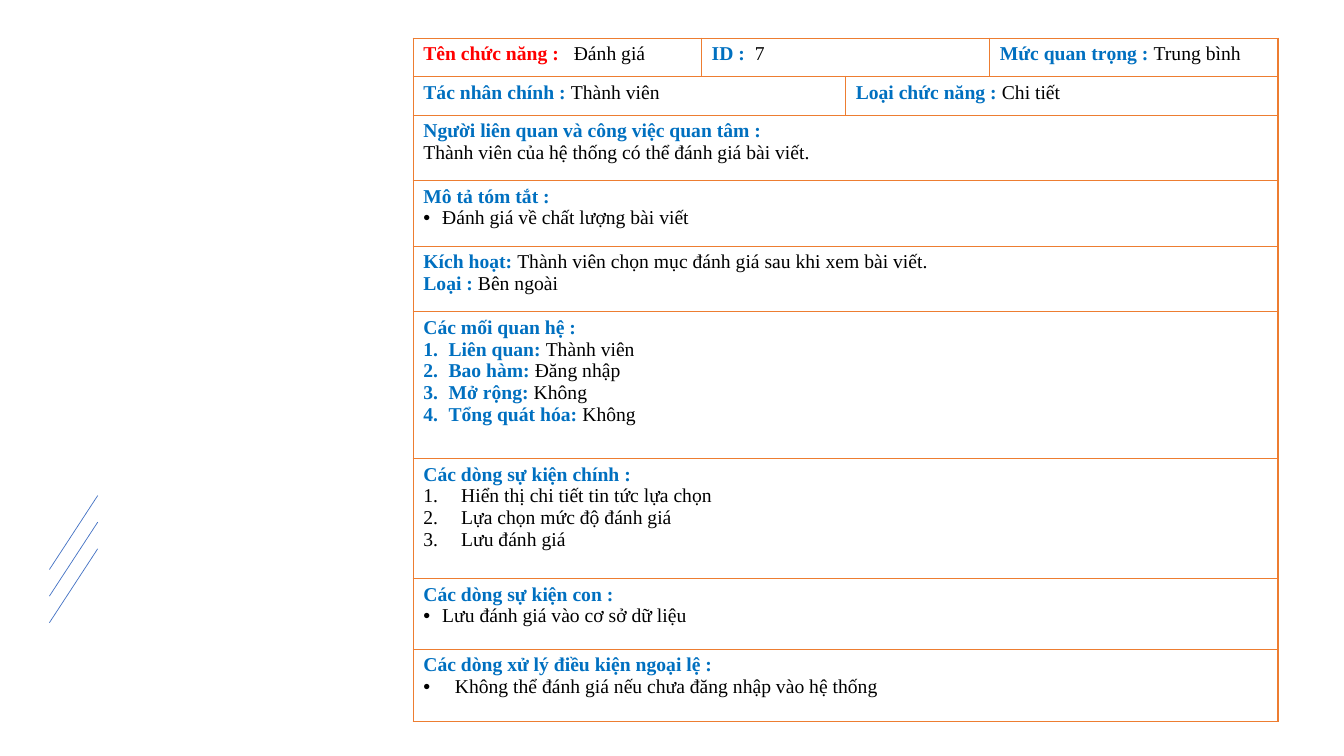
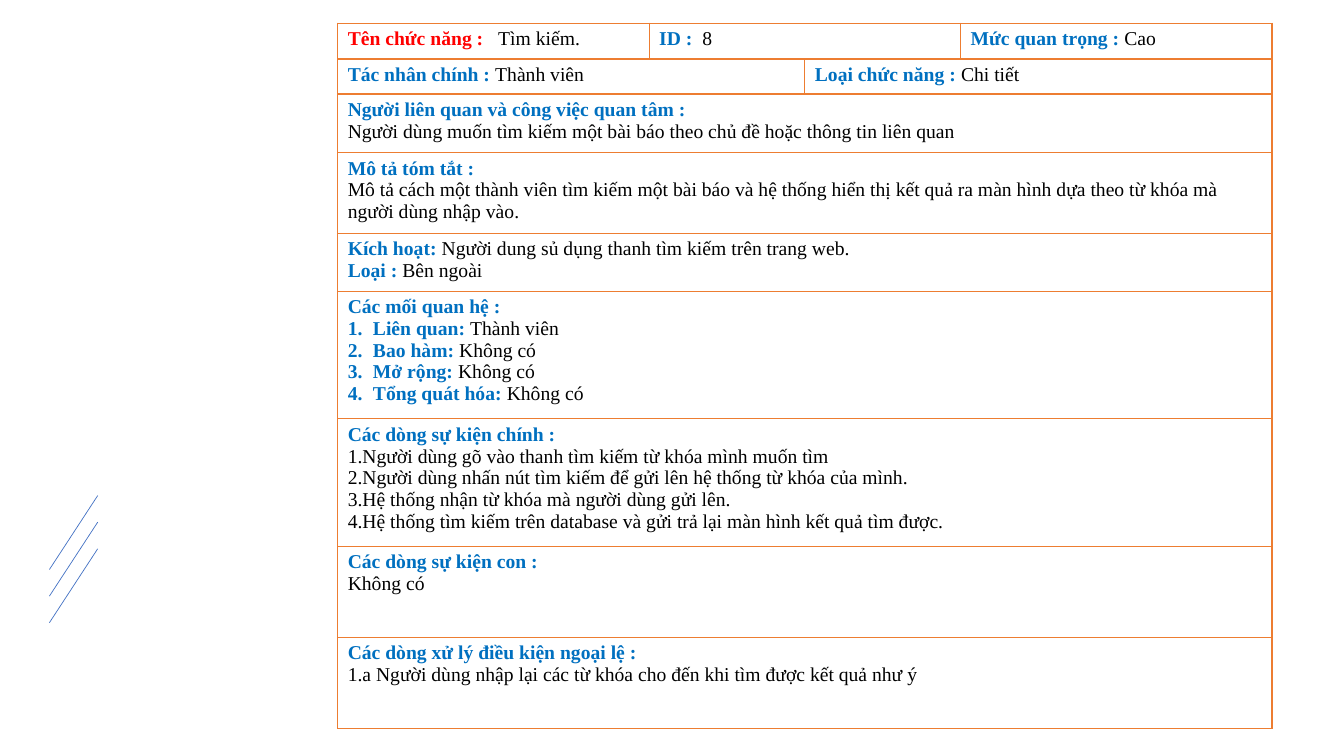
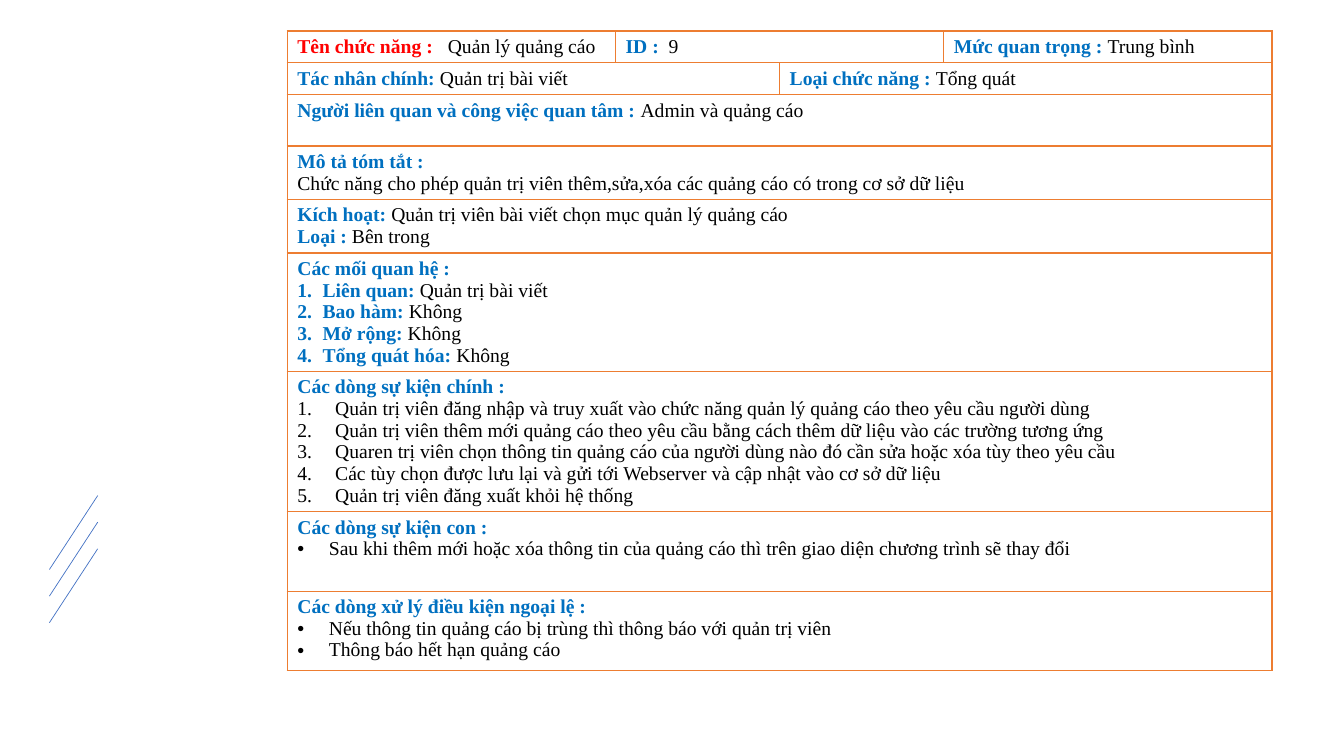
from dataclasses import dataclass

from lxml.etree import SubElement
from pptx import Presentation
from pptx.dml.color import RGBColor
from pptx.enum.shapes import MSO_CONNECTOR
from pptx.oxml.ns import qn
from pptx.util import Pt

# Shared style
FONT = "Times New Roman"
TEXT_SIZE = 14
RED, BLUE, BLACK = "FF0000", "0070C0", "000000"
BORDER, ACCENT = "ED7D31", "4472C4"
COLUMN_SHARES = (2, 1, 1, 2)

# Headings that every function sheet repeats
STAKEHOLDERS = "Người liên quan và công việc quan tâm :"
SUMMARY = "Mô tả tóm tắt :"
RELATIONS = "Các mối quan hệ :"
MAIN_FLOW = "Các dòng sự kiện chính :"
SUB_FLOW = "Các dòng sự kiện con :"
EXCEPTIONS = "Các dòng xử lý điều kiện ngoại lệ :"
RELATION_KINDS = ("Liên quan: ", "Bao hàm: ", "Mở rộng: ", "Tổng quát hóa: ")


@dataclass
class Line:
    label: str = ""
    value: str = ""
    marker: str = ""
    indent: float = 0
    tab: float = 0
    label_color: str = BLUE


@dataclass
class Sheet:
    left: float
    top: float
    width: float
    row_heights: tuple
    name: str
    number: str
    priority: str
    actor: Line
    kind: str
    sections: list


def rgb(hex_text):
    return RGBColor.from_string(hex_text)


# Kinds of content line
def plain(*texts):
    return [Line(value=text) for text in texts]


def bullets(indent, *texts):
    return [Line(value=text, marker="•", indent=indent) for text in texts]


def steps(*texts):
    return [Line(value=text, marker="1.", indent=27) for text in texts]


def section(heading, lines):
    return [Line(heading), *lines]


def trigger(cause, origin):
    return [Line("Kích hoạt: ", cause), Line("Loại : ", origin)]


def relations(*values):
    return section(RELATIONS, [Line(kind, value, "1.", 18)
                               for kind, value in zip(RELATION_KINDS, values)])


# Drawing
def format_paragraph(para, line):
    properties = para._p.get_or_add_pPr()
    if line.marker:
        properties.set("marL", str(Pt(line.indent)))
        properties.set("indent", str(-Pt(line.indent)))
    if line.marker == "•":
        SubElement(properties, qn("a:buFont"), typeface="Arial")
        SubElement(properties, qn("a:buChar"), char="•")
    elif line.marker:
        SubElement(properties, qn("a:buFont"), typeface="+mj-lt")
        SubElement(properties, qn("a:buAutoNum"), type="arabicPeriod")
    if line.tab:
        tabs = SubElement(properties, qn("a:tabLst"))
        SubElement(tabs, qn("a:tab"), pos=str(Pt(line.tab)), algn="l")
    para.font.name = FONT
    para.font.size = Pt(TEXT_SIZE)


def add_span(para, text, color, bold):
    span = para.add_run()
    span.text = text
    span.font.color.rgb = rgb(color)
    span.font.bold = bold


def fill_cell(cell, lines):
    frame = cell.text_frame
    for index, line in enumerate(lines):
        para = frame.add_paragraph() if index else frame.paragraphs[0]
        format_paragraph(para, line)
        if line.label:
            add_span(para, line.label, line.label_color, True)
        if line.value:
            add_span(para, "\t" + line.value if line.tab else line.value, BLACK, False)


def outline_cell(cell):
    properties = cell._tc.get_or_add_tcPr()
    for side in ("lnL", "lnR", "lnT", "lnB"):
        edge = SubElement(properties, qn(f"a:{side}"), w=str(Pt(1)))
        fill = SubElement(edge, qn("a:solidFill"))
        SubElement(fill, qn("a:srgbClr"), val=BORDER)
    cell.fill.background()


def add_accent_lines(page):
    for index in range(3):
        shift = 19 * index
        connector = page.shapes.add_connector(
            MSO_CONNECTOR.STRAIGHT,
            Pt(35.3), Pt(406.8 + shift), Pt(69.8), Pt(354 + shift))
        connector.line.color.rgb = rgb(ACCENT)
        connector.line.width = Pt(0.5)
        SubElement(connector._element.spPr, qn("a:effectLst"))


def add_sheet_table(page, sheet):
    # Each row lists (first column, last column, lines)
    rows = [
        [(0, 0, [Line("Tên chức năng :", sheet.name, tab=107.5, label_color=RED)]),
         (1, 2, [Line("ID :", sheet.number, tab=31 - 7.2 + 7)]),
         (3, 3, [Line("Mức quan trọng : ", sheet.priority)])],
        [(0, 1, [sheet.actor]),
         (2, 3, [Line("Loại chức năng : ", sheet.kind)])],
    ] + [[(0, 3, lines)] for lines in sheet.sections]

    table = page.shapes.add_table(
        len(rows), len(COLUMN_SHARES), Pt(sheet.left), Pt(sheet.top),
        Pt(sheet.width), Pt(sum(sheet.row_heights))).table
    table.first_row = table.horz_banding = False
    for column, share in zip(table.columns, COLUMN_SHARES):
        column.width = Pt(sheet.width * share / sum(COLUMN_SHARES))
    for row, height in zip(table.rows, sheet.row_heights):
        row.height = Pt(height)
    for cell in table.iter_cells():
        outline_cell(cell)
    for row_index, row in enumerate(rows):
        for first, last, lines in row:
            cell = table.cell(row_index, first)
            if last > first:
                cell.merge(table.cell(row_index, last))
            fill_cell(cell, lines)


# Content
RATING = Sheet(
    295.2, 27.2, 617.8, (27.5, 27.7, 46.6, 47, 46.8, 104.8, 85.7, 50.6, 51.3),
    "Đánh giá", "7", "Trung bình", Line("Tác nhân chính : ", "Thành viên"), "Chi tiết",
    [
        section(STAKEHOLDERS, plain("Thành viên của hệ thống có thể đánh giá bài viết.")),
        section(SUMMARY, bullets(13.5, "Đánh giá về chất lượng bài viết")),
        trigger("Thành viên chọn mục đánh giá sau khi xem bài viết.", "Bên ngoài"),
        relations("Thành viên", "Đăng nhập", "Không", "Không"),
        section(MAIN_FLOW, steps("Hiển thị chi tiết tin tức lựa chọn",
                                 "Lựa chọn mức độ đánh giá",
                                 "Lưu đánh giá")),
        section(SUB_FLOW, bullets(13.5, "Lưu đánh giá vào cơ sở dữ liệu")),
        section(EXCEPTIONS, bullets(
            22.5, "Không thể đánh giá nếu chưa đăng nhập vào hệ thống")),
    ])

SEARCH = Sheet(
    241.2, 16.5, 667.4, (25.7, 25, 41.8, 57.8, 41.4, 91.1, 91.1, 65, 65),
    "Tìm kiếm.", "8", "Cao", Line("Tác nhân chính : ", "Thành viên"), "Chi tiết",
    [
        section(STAKEHOLDERS, plain(
            "Người dùng muốn tìm kiếm một bài báo theo chủ đề hoặc thông tin liên quan")),
        section(SUMMARY, plain(
            "Mô tả cách một thành viên tìm kiếm một bài báo và hệ thống hiển thị kết quả "
            "ra màn hình dựa theo từ khóa mà người dùng nhập vào.")),
        trigger("Người dung sủ dụng thanh tìm kiếm trên trang web.", "Bên ngoài"),
        relations("Thành viên", "Không có", "Không có", "Không có"),
        section(MAIN_FLOW, plain(
            "1.Người dùng gõ vào thanh tìm kiếm từ khóa mình muốn tìm",
            "2.Người dùng nhấn nút tìm kiếm để gửi lên hệ thống từ khóa của mình.",
            "3.Hệ thống nhận từ khóa mà người dùng gửi lên.",
            "4.Hệ thống tìm kiếm trên database và gửi trả lại màn hình kết quả tìm được.")),
        section(SUB_FLOW, plain("Không có")),
        section(EXCEPTIONS, plain(
            "1.a Người dùng nhập lại các từ khóa cho đến khi tìm được kết quả như ý")),
    ])

ADVERTISING = Sheet(
    205.2, 22.2, 703.4, (22.7, 22.7, 36.7, 38.1, 38.1, 84.5, 100.2, 56.8, 56.8),
    "Quản lý quảng cáo", "9", "Trung bình",
    Line("Tác nhân chính: ", "Quản trị bài viết"), "Tổng quát",
    [
        [Line(STAKEHOLDERS + " ", "Admin và quảng cáo")],
        section(SUMMARY, plain(
            "Chức năng cho phép quản trị viên thêm,sửa,xóa các quảng cáo có trong cơ sở dữ liệu")),
        trigger("Quản trị viên bài viết chọn mục quản lý quảng cáo", "Bên trong"),
        relations("Quản trị bài viết", "Không", "Không", "Không"),
        section(MAIN_FLOW, steps(
            "Quản trị viên đăng nhập và truy xuất vào chức năng quản lý quảng cáo "
            "theo yêu cầu người dùng",
            "Quản trị viên thêm mới quảng cáo theo yêu cầu bằng cách thêm dữ liệu "
            "vào các trường tương ứng",
            "Quaren trị viên chọn thông tin quảng cáo của người dùng nào đó cần sửa "
            "hoặc xóa tùy theo yêu cầu",
            "Các tùy chọn được lưu lại và gửi tới Webserver và cập nhật vào cơ sở dữ liệu",
            "Quản trị viên đăng xuất khỏi hệ thống")),
        section(SUB_FLOW, bullets(
            22.5, "Sau khi thêm mới hoặc xóa thông tin của quảng cáo thì trên giao diện "
            "chương trình sẽ thay đổi")),
        section(EXCEPTIONS, bullets(
            22.5, "Nếu thông tin quảng cáo bị trùng thì thông báo với quản trị viên",
            "Thông báo hết hạn quảng cáo")),
    ])


def main():
    deck = Presentation()
    deck.slide_width, deck.slide_height = Pt(960), Pt(540)
    blank_layout = deck.slide_layouts[6]
    for sheet in (RATING, SEARCH, ADVERTISING):
        page = deck.slides.add_slide(blank_layout)
        add_accent_lines(page)
        add_sheet_table(page, sheet)
    deck.save("out.pptx")


if __name__ == "__main__":
    main()
